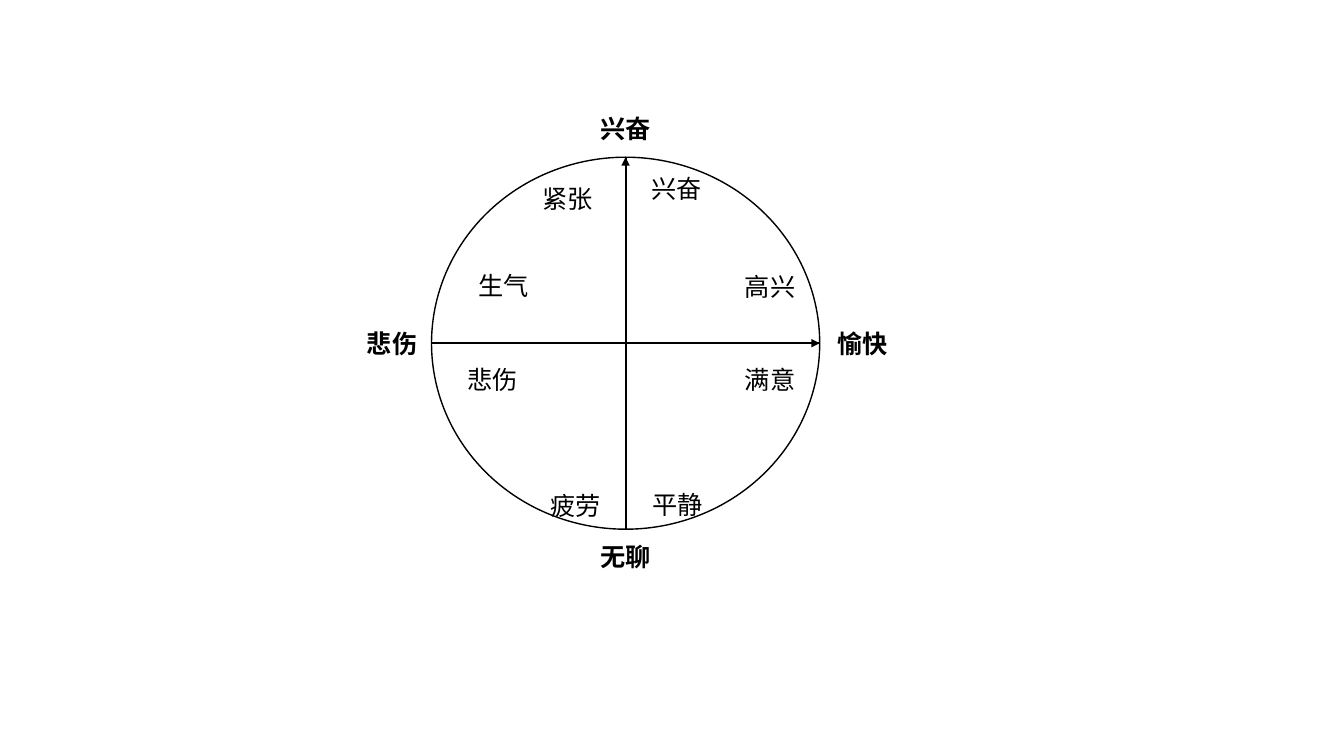
"""Build a slide that maps moods on a circle with two axes."""
from dataclasses import dataclass

from lxml import etree
from pptx import Presentation
from pptx.dml.color import RGBColor
from pptx.enum.shapes import MSO_CONNECTOR, MSO_SHAPE
from pptx.enum.text import MSO_AUTO_SIZE
from pptx.oxml.ns import qn
from pptx.slide import Slide
from pptx.util import Inches, Pt

OVAL = MSO_SHAPE.OVAL
STRAIGHT = MSO_CONNECTOR.STRAIGHT
GROW = MSO_AUTO_SIZE.SHAPE_TO_FIT_TEXT


@dataclass(frozen=True)
class Theme:
    """Hold colours, font and sizes."""
    ink: RGBColor = RGBColor(0, 0, 0)
    paper: RGBColor = RGBColor(255, 255, 255)
    font: str = "Noto Sans CJK SC"
    size: Pt = Pt(18)
    rim: Pt = Pt(1)
    axis: Pt = Pt(1.5)


@dataclass(frozen=True)
class Label:
    """Describe one mood word and its place."""
    text: str
    left: float
    top: float
    bold: bool = False


@dataclass(frozen=True)
class Axis:
    """Describe one axis from tail to tip."""
    x1: float
    y1: float
    x2: float
    y2: float


THEME = Theme()
LEFT, TOP, WIDTH, HEIGHT = 4.28, 1.56, 3.85, 3.69
RIGHT, BASE = LEFT + WIDTH, TOP + HEIGHT
MID_X, MID_Y = LEFT + WIDTH / 2, TOP + HEIGHT / 2
BOX_W, BOX_H = 0.71, 0.4
END_X, END_Y = 5.86, 3.21

AXES = (
    Axis(MID_X, BASE, MID_X, TOP),
    Axis(LEFT, MID_Y, RIGHT, MID_Y),
)
LABELS = (
    Label("兴奋", 6.36, 1.67),
    Label("平静", 6.37, 4.81),
    Label("高兴", 7.29, 2.64),
    Label("满意", 7.29, 3.57),
    Label("悲伤", 4.54, 3.57),
    Label("疲劳", 5.36, 4.82),
    Label("紧张", 5.28, 1.77),
    Label("生气", 4.65, 2.63),
    Label("无聊", END_X, 5.32, True),
    Label("兴奋", END_X, 1.08, True),
    Label("愉快", 8.21, END_Y, True),
    Label("悲伤", 3.54, END_Y, True),
)


def draw_circle(slide: Slide) -> None:
    """Draw the mood circle."""
    circle = slide.shapes.add_shape(
        OVAL, Inches(LEFT), Inches(TOP), Inches(WIDTH), Inches(HEIGHT))
    circle.shadow.inherit = False
    circle.fill.solid()
    circle.fill.fore_color.rgb = THEME.paper
    circle.line.color.rgb = THEME.ink
    circle.line.width = THEME.rim


def draw_axis(slide: Slide, axis: Axis, arrow: bool) -> None:
    """Draw one axis, with an arrowhead at its tip if asked."""
    line = slide.shapes.add_connector(
        STRAIGHT, Inches(axis.x1), Inches(axis.y1),
        Inches(axis.x2), Inches(axis.y2))
    line.line.color.rgb = THEME.ink
    line.line.width = THEME.axis
    props = line.element.spPr
    if arrow:
        etree.SubElement(
            props.find(qn("a:ln")), qn("a:tailEnd"), type="triangle")
    etree.SubElement(props, qn("a:effectLst"))


def draw_label(slide: Slide, label: Label) -> None:
    """Write one mood word."""
    box = slide.shapes.add_textbox(
        Inches(label.left), Inches(label.top), Inches(BOX_W), Inches(BOX_H))
    frame = box.text_frame
    frame.text = label.text
    frame.word_wrap = False
    frame.auto_size = GROW
    font = frame.paragraphs[0].runs[0].font
    font.name = THEME.font
    font.size = THEME.size
    font.bold = label.bold
    font.color.rgb = THEME.ink
    props = frame.paragraphs[0].runs[0].font._element
    etree.SubElement(props, qn("a:ea"), typeface=THEME.font)


def main() -> None:
    """Build and save the slide."""
    deck = Presentation()
    deck.slide_width, deck.slide_height = Inches(13.33), Inches(7.5)
    slide = deck.slides.add_slide(deck.slide_layouts[6])
    draw_circle(slide)
    for axis in AXES:
        draw_axis(slide, axis, arrow=False)
    for label in LABELS:
        draw_label(slide, label)
    for axis in AXES:
        draw_axis(slide, axis, arrow=True)
    deck.save("out.pptx")


if __name__ == "__main__":
    main()
